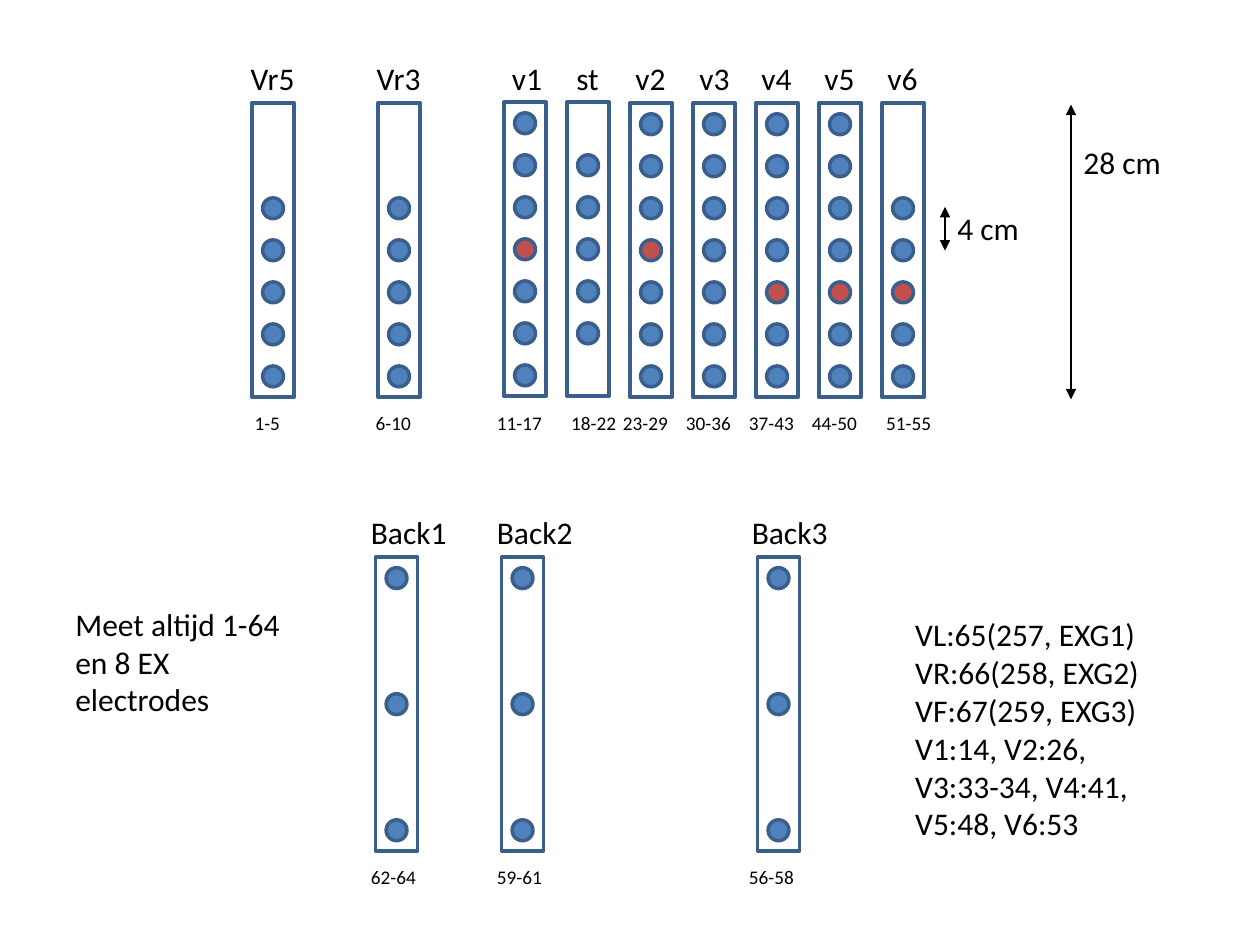
from dataclasses import dataclass

from lxml.etree import SubElement
from pptx import Presentation
from pptx.dml.color import RGBColor
from pptx.enum.shapes import MSO_CONNECTOR, MSO_SHAPE
from pptx.enum.text import MSO_AUTO_SIZE, PP_ALIGN
from pptx.oxml.ns import qn
from pptx.util import Cm, Pt


@dataclass(frozen=True)
class Theme:
    font: str = "Calibri"
    text: RGBColor = RGBColor(0, 0, 0)
    electrode: RGBColor = RGBColor(0x4F, 0x81, 0xBD)
    marked: RGBColor = RGBColor(0xC0, 0x50, 0x4D)
    outline: RGBColor = RGBColor(0x3A, 0x5F, 0x8C)
    label_size: int = 18
    range_size: int = 11
    outline_width: float = 2
    arrow_width: float = 1.5


@dataclass(frozen=True)
class Strip:
    """Positions count down from 0 to 6; shifts nudge the captions sideways."""
    name: str
    channels: str
    left: float
    top: float
    positions: tuple
    marked: int = -1
    name_shift: float = -0.43
    range_shift: float = -0.43


STRIP_WIDTH, STRIP_HEIGHT = 0.85, 5.93
ELECTRODE = 0.42
PITCH = STRIP_HEIGHT / 7
MARGIN = (STRIP_WIDTH - ELECTRODE) / 2
FIRST_COLUMN, COLUMN_STEP = 5.08, 1.27
FRONT_TOP, RAISED_TOP, BACK_TOP = 2.08, 2.06, 11.23
NAME_RISE, RANGE_DROP = 1.01, 6.09

FULL, LOWER, MIDDLE, SPARSE = range(7), range(2, 7), range(1, 6), (0, 3, 6)


def column(index):
    return FIRST_COLUMN + index * COLUMN_STEP


STRIPS = [
    Strip("Vr5", "1-5", column(0), FRONT_TOP, LOWER),
    Strip("Vr3", "6-10", column(2), FRONT_TOP, LOWER),
    Strip("v1", "11-17", column(4), RAISED_TOP, FULL, 3, name_shift=-0.38),
    Strip("st", "18-22", column(5), RAISED_TOP, MIDDLE, range_shift=-0.2),
    Strip("v2", "23-29", column(6), FRONT_TOP, FULL, 3),
    Strip("v3", "30-36", column(7), FRONT_TOP, FULL, name_shift=-0.41),
    Strip("v4", "37-43", column(8), FRONT_TOP, FULL, 4),
    Strip("v5", "44-50", column(9), FRONT_TOP, FULL, 4),
    Strip("v6", "51-55", column(10), FRONT_TOP, LOWER, 4, range_shift=-0.2),
    Strip("Back1", "62-64", 7.57, BACK_TOP, SPARSE, name_shift=-0.38, range_shift=-0.38),
    Strip("Back2", "59-61", 10.11, BACK_TOP, SPARSE, name_shift=-0.38, range_shift=-0.38),
    Strip("Back3", "56-58", 15.27, BACK_TOP, SPARSE, name_shift=-0.4, range_shift=-0.46),
]


class ElectrodeSlide:
    """Holds the style and the slide being drawn; lengths are centimetres."""

    def __init__(self, slide, theme):
        self.slide = slide
        self.theme = theme

    def outlined(self, shapes, kind, left, top, width, height, fill=None):
        shape = shapes.add_shape(kind, Cm(left), Cm(top), Cm(width), Cm(height))
        shape.shadow.inherit = False
        if fill is None:
            shape.fill.background()
        else:
            shape.fill.solid()
            shape.fill.fore_color.rgb = fill
        shape.line.color.rgb = self.theme.outline
        shape.line.width = Pt(self.theme.outline_width)

    def text(self, content, left, top, width, height, size=None, align=PP_ALIGN.LEFT):
        box = self.slide.shapes.add_textbox(Cm(left), Cm(top), Cm(width), Cm(height))
        frame = box.text_frame
        frame.word_wrap = True
        frame.auto_size = MSO_AUTO_SIZE.SHAPE_TO_FIT_TEXT
        frame.text = content
        for paragraph in frame.paragraphs:
            paragraph.alignment = align
            for run in paragraph.runs:
                run.font.name = self.theme.font
                run.font.size = Pt(size or self.theme.label_size)
                run.font.color.rgb = self.theme.text

    def strip(self, strip):
        shapes = self.slide.shapes.add_group_shape().shapes
        for position in strip.positions:
            fill = self.theme.marked if position == strip.marked else self.theme.electrode
            self.outlined(shapes, MSO_SHAPE.OVAL, strip.left + MARGIN,
                          strip.top + MARGIN + position * PITCH, ELECTRODE, ELECTRODE, fill)
        self.outlined(shapes, MSO_SHAPE.RECTANGLE, strip.left, strip.top,
                      STRIP_WIDTH, STRIP_HEIGHT)
        name_width = 2.1 if strip.top == BACK_TOP else 1.69
        row_top = BACK_TOP if strip.top == BACK_TOP else FRONT_TOP
        self.text(strip.name, strip.left + strip.name_shift, row_top - NAME_RISE,
                  name_width, 1.03, align=PP_ALIGN.CENTER)
        self.text(strip.channels, strip.left + strip.range_shift, row_top + RANGE_DROP,
                  1.48, 0.73, self.theme.range_size, PP_ALIGN.CENTER)

    def dimension(self, x, top, bottom):
        """Vertical measuring line with an arrowhead at both ends."""
        arrow = self.slide.shapes.add_connector(
            MSO_CONNECTOR.STRAIGHT, Cm(x), Cm(top), Cm(x), Cm(bottom))
        arrow.line.color.rgb = self.theme.text
        arrow.line.width = Pt(self.theme.arrow_width)
        line = arrow.line._get_or_add_ln()
        for end in ("a:headEnd", "a:tailEnd"):
            SubElement(line, qn(end), type="triangle")
        SubElement(arrow._element.spPr, qn("a:effectLst"))


def main():
    presentation = Presentation()
    presentation.slide_width, presentation.slide_height = Cm(25.4), Cm(19.05)
    blank_layout = presentation.slide_layouts[6]
    page = ElectrodeSlide(presentation.slides.add_slide(blank_layout), Theme())

    for strip in STRIPS:
        page.strip(strip)

    page.dimension(19.05, 4.17, 5.05)
    page.text("4 cm", 19.05, 4.09, 1.91, 1.03)
    page.dimension(21.59, 2.11, 8.05)
    page.text("28 cm", 21.59, 2.75, 2.75, 1.03)

    page.text("VL:65(257, EXG1)\nVR:66(258, EXG2)\nVF:67(259, EXG3)\n"
              "V1:14, V2:26, V3:33-34, V4:41, V5:48, V6:53", 18.2, 12.28, 5.72, 4.87)
    page.text("Meet altijd 1-64 en 8 EX electrodes", 1.27, 12.07, 4.66, 2.57)

    presentation.save("out.pptx")


if __name__ == "__main__":
    main()
